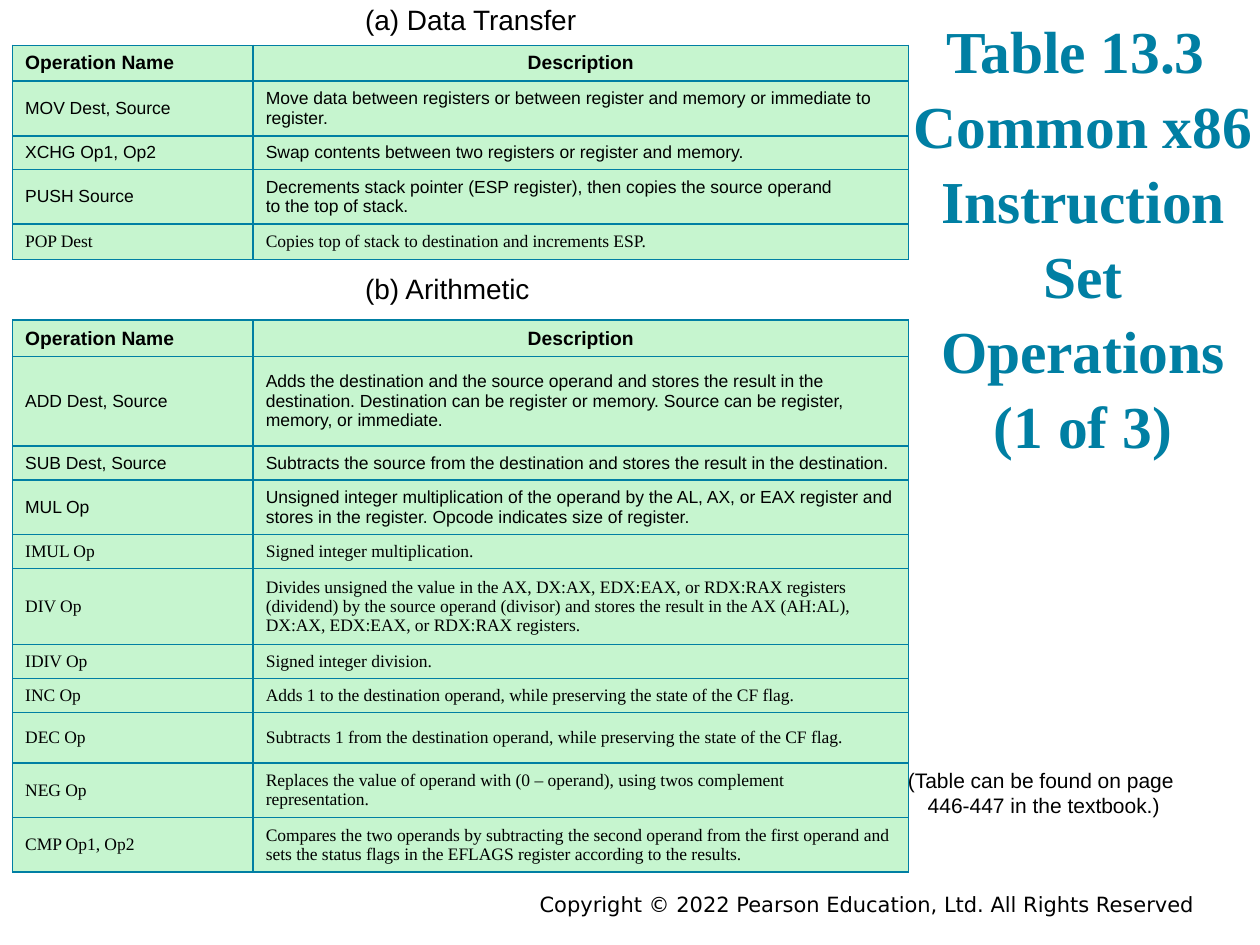
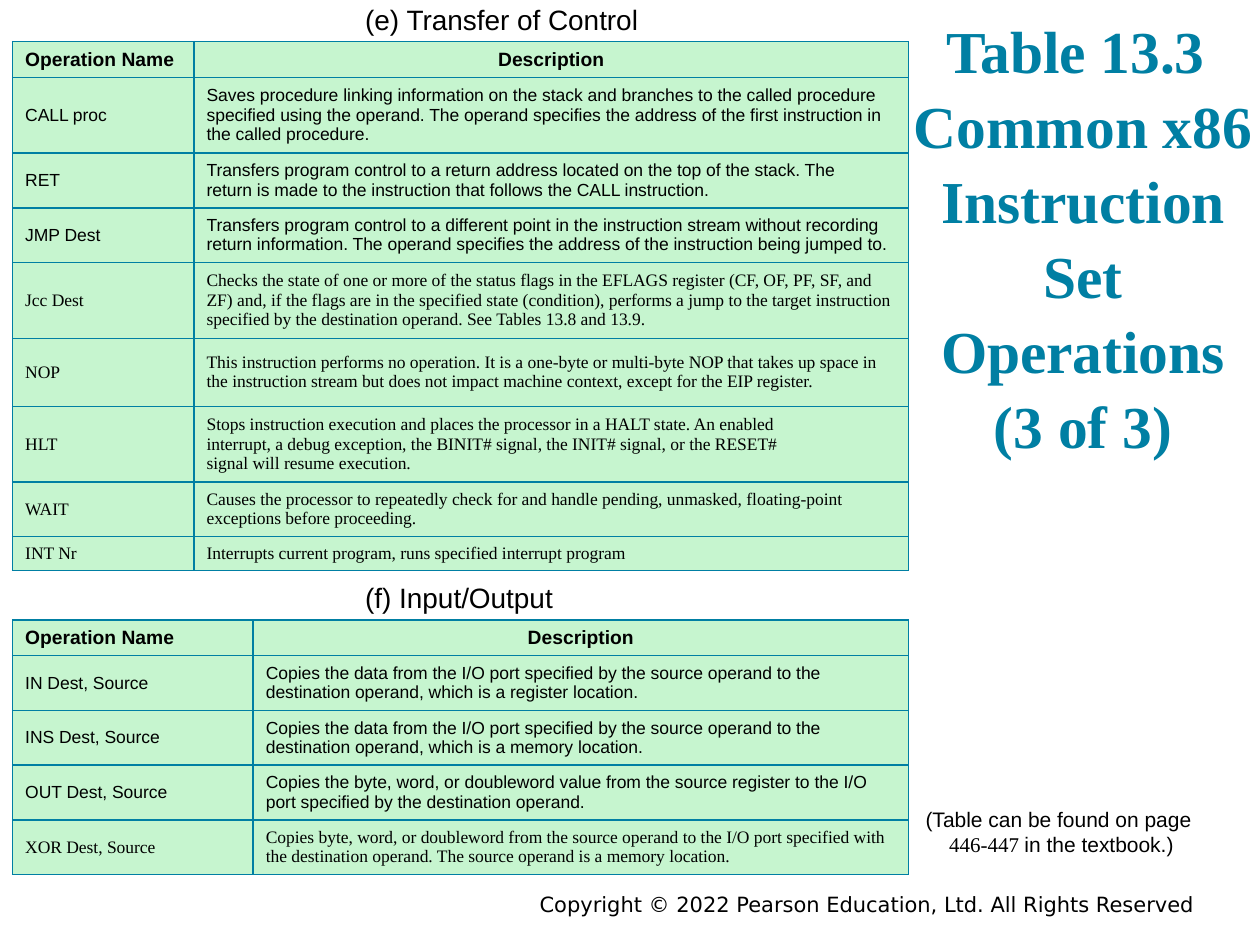
from dataclasses import dataclass
from typing import NamedTuple

from lxml.etree import SubElement as Sub
from pptx import Presentation
from pptx.dml.color import RGBColor as Rgb
from pptx.enum.text import MSO_ANCHOR as Anchor, PP_ALIGN as Align
from pptx.oxml.ns import qn
from pptx.util import Inches, Pt


# Theme: colours, fonts and type sizes
@dataclass(frozen=True)
class Theme:
    ink: str = "000000"
    teal: str = "007FA3"
    mint: str = "C6F5CF"
    sans: str = "Arial"
    serif: str = "Times New Roman"
    foot: str = "DejaVu Sans"
    title: int = 34
    label: int = 16
    note: int = 12
    head: int = 11
    cell: int = 10
    rule: int = 1


THEME = Theme()

# Grid: 100 columns by 75 rows on the slide
COLS, ROWS = 100, 75
WIDE, HIGH = Inches(10), Inches(7.5)
LEFT, SPAN = 1, 71.1
LABEL_LEFT, LABEL_HIGH = 28, 3.7
NARROW, BROAD = 14.4, 19.1
HEADS = ("Operation Name", "Description")
FOOT = "Copyright © 2022 Pearson Education, Ltd. All Rights Reserved"


class Box(NamedTuple):
    left: float
    top: float
    wide: float
    high: float

    def size(self) -> tuple[int, ...]:
        return (across(self.left), down(self.top), across(self.wide), down(self.high))


class Row(NamedTuple):
    high: float
    name: str
    text: str


@dataclass(frozen=True)
class Group:
    label: str
    above: float  # top of the label
    top: float  # top of the table
    split: float  # width of the name column
    head: float  # height of the heading row
    sans: int  # rows set in the sans font, before the serif ones
    rows: tuple[Row, ...]


@dataclass(frozen=True)
class Page:
    number: int
    note: Box
    alt: str  # words of the note set in the serif font
    groups: tuple[Group, ...]


TITLE_BOX = Box(70.2, 2.8, 31.5, 34.2)
FOOT_BOX = Box(17.5, 70.3, 78.3, 2.2)


def across(cols: float) -> int:
    return round(WIDE * cols / COLS)


def down(rows: float) -> int:
    return round(HIGH * rows / ROWS)


# Text
def write(frame, text: str, *, size: int, font: str = THEME.sans,
          color: str = THEME.ink, bold: bool = False, align=Align.LEFT,
          anchor=Anchor.TOP, wrap: bool = True, space: float = 1.0,
          alt: str = "") -> None:
    """Fill a frame, one paragraph a line; words in alt are set in serif."""
    frame.word_wrap = wrap
    frame.vertical_anchor = anchor
    for i, line in enumerate(text.split("\n")):
        para = frame.paragraphs[0] if i == 0 else frame.add_paragraph()
        para.alignment = align
        para.line_spacing = space
        for piece in line.partition(alt) if alt else (line,):
            if piece:
                run = para.add_run()
                run.text = piece
                run.font.name = THEME.serif if piece == alt else font
                run.font.size = Pt(size)
                run.font.bold = bold
                run.font.color.rgb = Rgb.from_string(color)


def place(slide, box: Box, text: str, **form) -> None:
    write(slide.shapes.add_textbox(*box.size()).text_frame, text, **form)


# Tables
def paint(cell) -> None:
    """Give a cell its fill and four borders."""
    cell.fill.solid()
    cell.fill.fore_color.rgb = Rgb.from_string(THEME.mint)
    props = cell._tc.get_or_add_tcPr()
    for i, side in enumerate("LRTB"):
        line = Sub(props, qn(f"a:ln{side}"), w=str(Pt(THEME.rule)))
        Sub(Sub(line, qn("a:solidFill")), qn("a:srgbClr"), val=THEME.teal)
        props.insert(i, line)


def draw_group(slide, group: Group) -> None:
    place(slide, Box(LABEL_LEFT, group.above, 24, LABEL_HIGH), group.label,
          size=THEME.label, wrap=False)
    lines = (Row(group.head, *HEADS), *group.rows)
    box = Box(LEFT, group.top, SPAN, sum(line.high for line in lines))
    table = slide.shapes.add_table(len(lines), 2, *box.size()).table
    table.columns[0].width = across(group.split)
    table.columns[1].width = across(SPAN - group.split)
    for r, line in enumerate(lines):
        table.rows[r].height = down(line.high)
        head = r == 0
        for c, text in enumerate((line.name, line.text)):
            cell = table.cell(r, c)
            paint(cell)
            write(cell.text_frame, text, bold=head,
                  size=THEME.head if head else THEME.cell,
                  font=THEME.sans if r <= group.sans else THEME.serif,
                  align=Align.CENTER if head and c else Align.LEFT)
            cell.vertical_anchor = Anchor.MIDDLE


def draw_page(deck, page: Page) -> None:
    slide = deck.slides.add_slide(deck.slide_layouts[6])
    place(slide, FOOT_BOX, FOOT, size=THEME.note, font=THEME.foot, align=Align.RIGHT)
    place(slide, TITLE_BOX,
          f"Table 13.3 \nCommon x86 Instruction Set Operations\n({page.number} of 3)",
          size=THEME.title, font=THEME.serif, color=THEME.teal, bold=True,
          align=Align.CENTER, anchor=Anchor.BOTTOM, space=1.05)
    for group in page.groups:
        draw_group(slide, group)
    place(slide, page.note, "(Table can be found on page \n446-447 in the textbook.)",
          size=THEME.note, align=Align.CENTER, alt=page.alt)


# Content
MOVES = Group("(a) Data Transfer", -0.3, 3.6, BROAD, 2.7, 3, (
    Row(4.1, "MOV Dest, Source",
        "Move data between registers or between register and memory or immediate "
        "to register."),
    Row(2.6, "XCHG Op1, Op2",
        "Swap contents between two registers or register and memory."),
    Row(4.1, "PUSH Source",
        "Decrements stack pointer (ESP register), then copies the source operand\n"
        "to the top of stack."),
    Row(2.8, "POP Dest", "Copies top of stack to destination and increments ESP."),
))

MATHS = Group("(b) Arithmetic", 21.1, 25.4, BROAD, 2.9, 3, (
    Row(7.1, "ADD Dest, Source",
        "Adds the destination and the source operand and stores the result in the "
        "destination. Destination can be register or memory. Source can be "
        "register, memory, or immediate."),
    Row(2.7, "SUB Dest, Source",
        "Subtracts the source from the destination and stores the result in the "
        "destination."),
    Row(4.3, "MUL Op",
        "Unsigned integer multiplication of the operand by the AL, AX, or EAX "
        "register and\nstores in the register. Opcode indicates size of register."),
    Row(2.7, "IMUL Op", "Signed integer multiplication."),
    Row(6, "DIV Op",
        "Divides unsigned the value in the AX, DX:AX, EDX:EAX, or RDX:RAX "
        "registers\n(dividend) by the source operand (divisor) and stores the "
        "result in the AX (AH:AL), DX:AX, EDX:EAX, or RDX:RAX registers."),
    Row(2.7, "IDIV Op", "Signed integer division."),
    Row(2.7, "INC Op",
        "Adds 1 to the destination operand, while preserving the state of the CF "
        "flag."),
    Row(4, "DEC Op",
        "Subtracts 1 from the destination operand, while preserving the state of "
        "the CF flag."),
    Row(4.3, "NEG Op",
        "Replaces the value of operand with (0 – operand), using twos complement\n"
        "representation."),
    Row(4.3, "CMP Op1, Op2",
        "Compares the two operands by subtracting the second operand from the "
        "first operand and sets the status flags in the EFLAGS register according "
        "to the results."),
))

JUMPS = Group("(e) Transfer of Control", -0.3, 3.3, NARROW, 2.7, 3, (
    Row(5.7, "CALL proc",
        "Saves procedure linking information on the stack and branches to the "
        "called procedure specified using the operand. The operand specifies the "
        "address of the first instruction in the called procedure."),
    Row(4.1, "RET",
        "Transfers program control to a return address located on the top of the "
        "stack. The\nreturn is made to the instruction that follows the CALL "
        "instruction."),
    Row(4.1, "JMP Dest",
        "Transfers program control to a different point in the instruction stream "
        "without recording return information. The operand specifies the address "
        "of the instruction being jumped to."),
    Row(5.9, "Jcc Dest",
        "Checks the state of one or more of the status flags in the EFLAGS "
        "register (CF, OF, PF, SF, and ZF) and, if the flags are in the specified "
        "state (condition), performs a jump to the target instruction specified "
        "by the destination operand. See Tables 13.8 and 13.9."),
    Row(5.4, "NOP",
        "This instruction performs no operation. It is a one-byte or multi-byte "
        "NOP that takes up space in the instruction stream but does not impact "
        "machine context, except for the EIP register."),
    Row(5.6, "HLT",
        "Stops instruction execution and places the processor in a HALT state. An "
        "enabled\ninterrupt, a debug exception, the BINIT# signal, the INIT# "
        "signal, or the RESET#\nsignal will resume execution."),
    Row(4.1, "WAIT",
        "Causes the processor to repeatedly check for and handle pending, "
        "unmasked, floating-point exceptions before proceeding."),
    Row(2.5, "INT Nr",
        "Interrupts current program, runs specified interrupt program"),
))

PORTS = Group("(f) Input/Output", 45.6, 49.2, BROAD, 2.7, 3, (
    Row(4.1, "IN Dest, Source",
        "Copies the data from the I/O port specified by the source operand to the "
        "destination operand, which is a register location."),
    Row(4.1, "INS Dest, Source",
        "Copies the data from the I/O port specified by the source operand to the "
        "destination operand, which is a memory location."),
    Row(4.1, "OUT Dest, Source",
        "Copies the byte, word, or doubleword value from the source register to "
        "the I/O port specified by the destination operand."),
    Row(4.1, "XOR Dest, Source",
        "Copies byte, word, or doubleword from the source operand to the I/O port "
        "specified with the destination operand. The source operand is a memory "
        "location."),
))

PAGES = (
    Page(1, Box(65.7, 60.4, 34.3, 5), "", (MOVES, MATHS)),
    Page(3, Box(68.5, 63.5, 31.5, 5), "446-447 ", (JUMPS, PORTS)),
)


def main() -> None:
    deck = Presentation()
    deck.slide_width, deck.slide_height = WIDE, HIGH
    for page in PAGES:
        draw_page(deck, page)
    deck.save("out.pptx")


if __name__ == "__main__":
    main()
